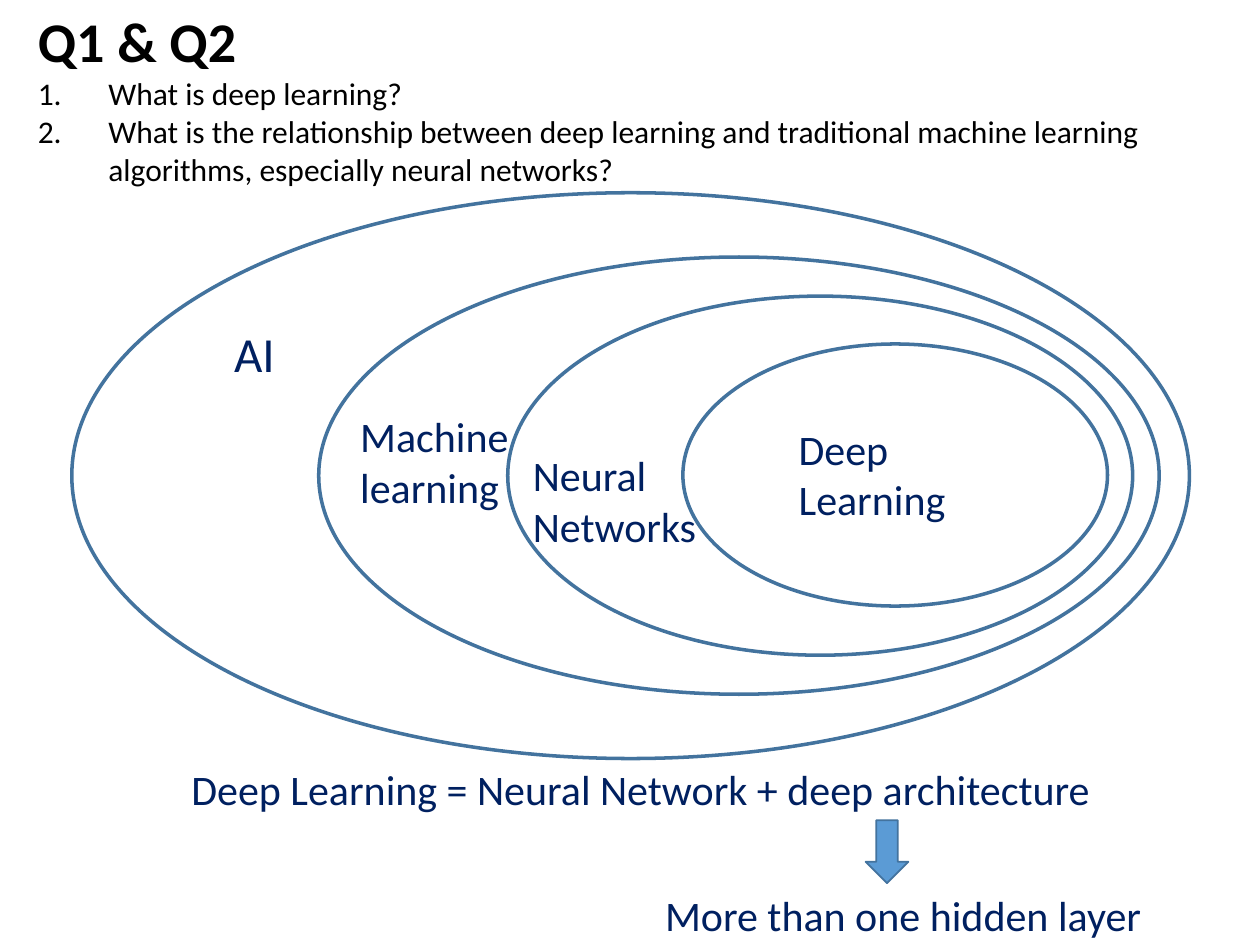
from lxml.etree import SubElement
from pptx import Presentation
from pptx.dml.color import RGBColor
from pptx.enum.shapes import MSO_SHAPE
from pptx.enum.text import MSO_ANCHOR, MSO_AUTO_SIZE, PP_ALIGN
from pptx.oxml.ns import qn
from pptx.util import Pt

PX = 9144
NAVY = RGBColor(0x00, 0x20, 0x60)
BLUE = RGBColor(0x5B, 0x9B, 0xD5)
EDGE = RGBColor(0x43, 0x73, 0x9E)
BLACK = RGBColor(0x00, 0x00, 0x00)


def emu(*box):
    return [n * PX for n in box]


def write(para, text, size, color, bold=False):
    run = para.add_run()
    run.text = text
    font = run.font
    font.name = "Calibri"
    font.size = Pt(size)
    font.bold = bold
    font.color.rgb = color


def label(slide, box, text, size=24):
    frame = slide.shapes.add_textbox(*emu(*box)).text_frame
    frame.word_wrap = True
    write(frame.paragraphs[0], text, size, NAVY)


def draw(slide, kind, box, width, fill=None):
    shape = slide.shapes.add_shape(kind, *emu(*box))
    shape.shadow.inherit = False
    shape.line.color.rgb = EDGE
    shape.line.width = Pt(width)
    if fill is None:
        shape.fill.background()
    else:
        shape.fill.solid()
        shape.fill.fore_color.rgb = fill


def settle(holder, box):
    holder.left, holder.top, holder.width, holder.height = emu(*box)
    frame = holder.text_frame
    frame.word_wrap = True
    frame.auto_size = MSO_AUTO_SIZE.NONE
    frame.vertical_anchor = MSO_ANCHOR.TOP
    return frame


def number(para, indent):
    para.space_before = Pt(0)
    props = para._p.get_or_add_pPr()
    props.set("marL", str(indent * PX))
    props.set("indent", str(-indent * PX))
    SubElement(props, qn("a:buFont"), typeface="+mj-lt")
    SubElement(props, qn("a:buAutoNum"), type="arabicPeriod")


def header(slide, box):
    left, top, width, height = box
    split = 54
    title = settle(slide.shapes.title, (left, top, width, split + 5))
    para = title.paragraphs[0]
    para.alignment = PP_ALIGN.LEFT
    write(para, "Q1 & Q2", 32, BLACK, True)

    body = settle(slide.placeholders[1],
                  (left, top + split, width, height - split))
    asks = [
        "What is deep learning?",
        "What is the relationship between deep learning and traditional "
        "machine learning algorithms, especially neural networks?",
    ]
    for i, ask in enumerate(asks):
        para = body.add_paragraph() if i else body.paragraphs[0]
        number(para, 56)
        write(para, ask, 18, BLACK)


def rings(slide, box):
    left, top, width, height = box
    sizes = [(0, width, height), (196, 667, 347),
             (346, 496, 285), (485, 337, 208)]
    for x, wide, high in sizes:
        draw(slide, MSO_SHAPE.OVAL,
             (left + x, top + (height - high) // 2, wide, high), 2)

    label(slide, (left + 119, top + 99, 140, 57), "AI", 28)
    names = [(219, 168, "Machine learning"),
             (356, 199, "Neural Networks"),
             (567, 178, "Deep Learning")]
    for x, y, name in names:
        label(slide, (left + x, top + y, 209, 91), name)


def footer(slide, box):
    left, top, width, height = box
    row = height // 3
    label(slide, (left, top, width, row),
          "Deep Learning = Neural Network + deep architecture")
    draw(slide, MSO_SHAPE.DOWN_ARROW,
         (left + 545, top + row, 34, row), 1, BLUE)
    label(slide, (left + 376, top + 2 * row, 443, row),
          "More than one hidden layer")


def main():
    deck = Presentation()
    deck.slide_width, deck.slide_height = emu(1000, 750)
    slide = deck.slides.add_slide(deck.slide_layouts[1])
    header(slide, (20, 0, 980, 155))
    rings(slide, (57, 153, 887, 449))
    footer(slide, (142, 601, 801, 150))
    deck.save("out.pptx")


if __name__ == "__main__":
    main()
